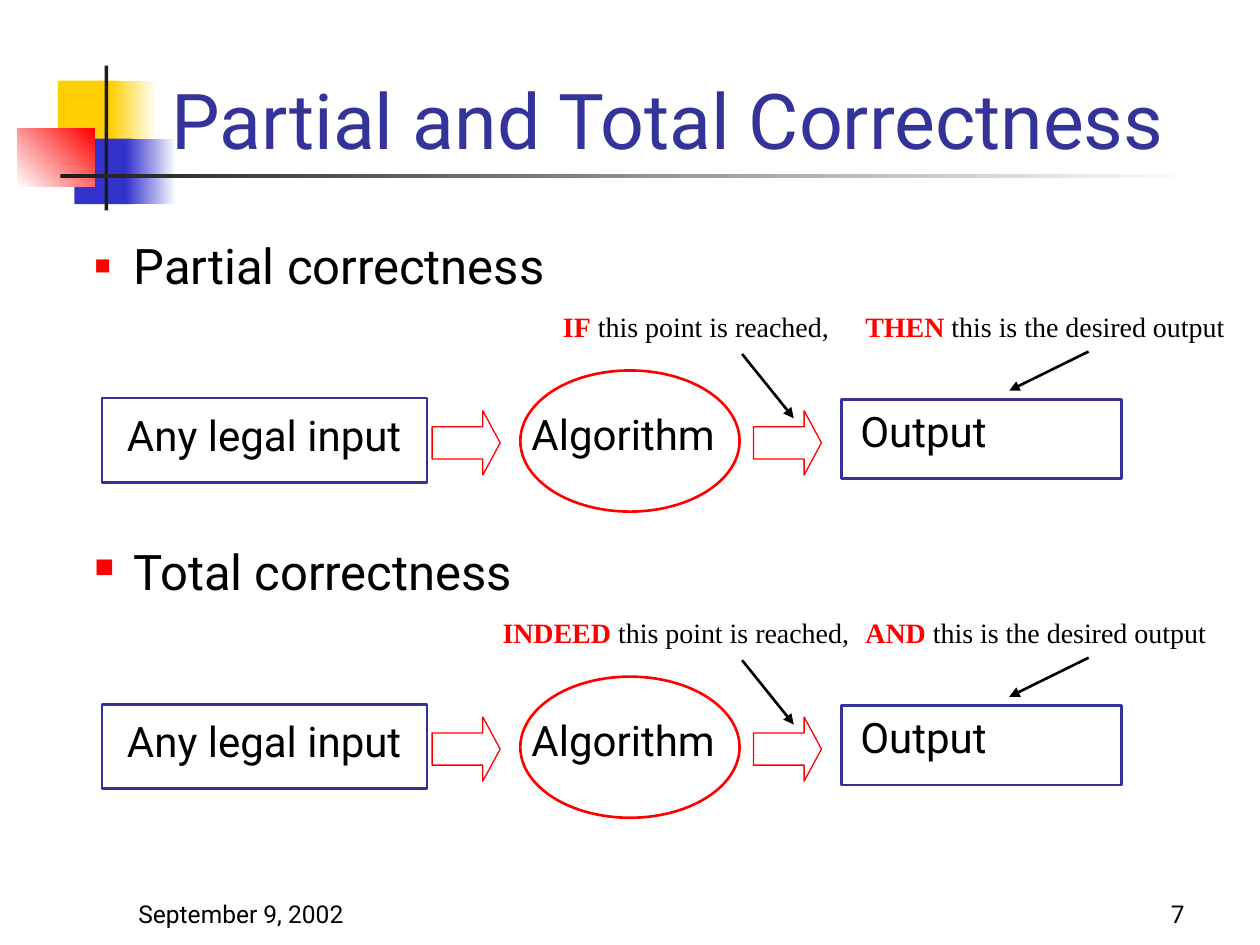
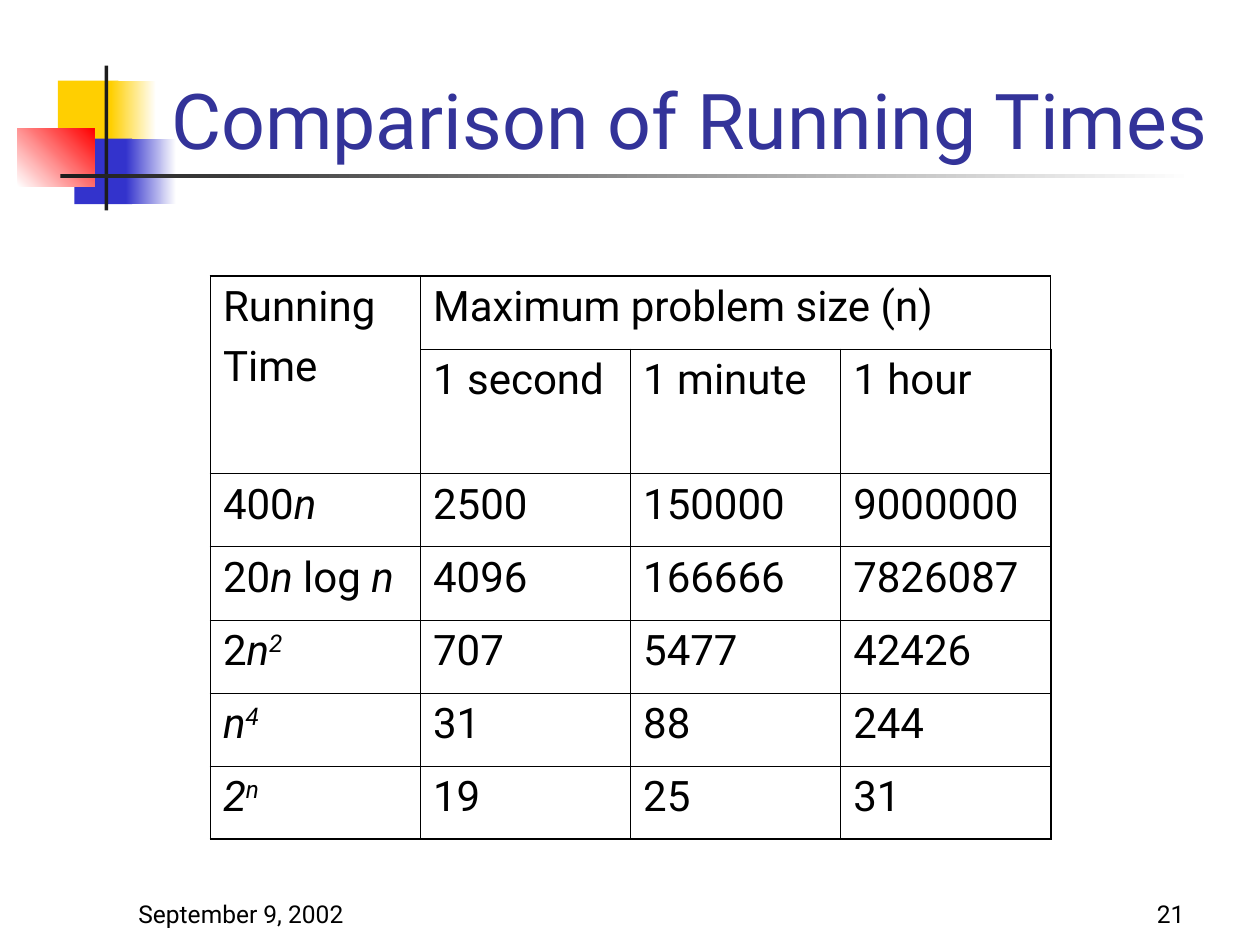
from pptx import Presentation
from pptx.dml.color import RGBColor
from pptx.enum.shapes import MSO_CONNECTOR, MSO_SHAPE
from pptx.enum.text import MSO_ANCHOR, MSO_AUTO_SIZE, PP_ALIGN
from pptx.oxml.xmlchemy import OxmlElement
from pptx.util import Inches, Pt

BLACK = RGBColor(0x00, 0x00, 0x00)
WHITE = RGBColor(0xFF, 0xFF, 0xFF)
CHARCOAL = RGBColor(0x1C, 0x1C, 0x1C)
NAVY = RGBColor(0x33, 0x33, 0x99)
BLUE = RGBColor(0x33, 0x33, 0xCC)
YELLOW = RGBColor(0xFF, 0xCF, 0x01)
RED = RGBColor(0xFF, 0x00, 0x00)

SANS = "Roboto"
SERIF = "Times New Roman"
TITLE_LAYOUT, BODY_LAYOUT = 5, 1
BLOCK_GAP = 2.43

CORNER_ART = [
    ((0.46, 0.64, 0.48, 0.52), (YELLOW,), 0),
    ((0.88, 0.64, 0.36, 0.52), (YELLOW, WHITE), 0),
    ((0.59, 1.1, 0.46, 0.52), (BLUE,), 0),
    ((1, 1.1, 0.4, 0.52), (BLUE, WHITE), 0),
    ((0.14, 1.02, 0.61, 0.46), (WHITE, RED), 45),
    ((0.83, 0.52, 0.03, 1.15), (CHARCOAL,), 0),
    ((0.48, 1.38, 9, 0.03), (CHARCOAL, WHITE), 0),
]

ITALIC = {"italic": True}
RAISED = {"italic": True, "raised": True}
RUNNING_TIMES = [
    ([("400", {}), ("n", ITALIC)], "2500", "150000", "9000000"),
    ([("20", {}), ("n", ITALIC), (" log ", {}), ("n", ITALIC)],
     "4096", "166666", "7826087"),
    ([("2", {}), ("n", ITALIC), ("2", RAISED)], "707", "5477", "42426"),
    ([("n", ITALIC), ("4", RAISED)], "31", "88", "244"),
    ([("2", ITALIC), ("n", RAISED)], "19", "25", "31"),
]


def make_element(parent, tag, **attributes):
    element = OxmlElement(tag)
    for name, value in attributes.items():
        element.set(name, str(value))
    parent.append(element)
    return element


class SlideBuilder:
    """Holds the deck style and the current page, and adds elements to it."""

    def __init__(self):
        self.deck = Presentation()
        self.deck.slide_width, self.deck.slide_height = Inches(10), Inches(7.5)
        self.page = None

    def start_page(self, layout, title, number):
        self.page = self.deck.slides.add_slide(self.deck.slide_layouts[layout])
        for place, colors, angle in CORNER_ART:
            self.panel(place, colors, angle)
        self.footer(1, "September 9, 2002", PP_ALIGN.LEFT)
        self.footer(7.42, str(number), PP_ALIGN.RIGHT)
        box = self.place(self.page.shapes.title, (1.26, 0.11, 8.52, 1.25))
        frame = self.frame(box, anchor=MSO_ANCHOR.BOTTOM)
        frame.paragraphs[0].alignment = PP_ALIGN.LEFT
        self.span(frame.paragraphs[0], title, 44, NAVY)

    def place(self, placeholder, place):
        (placeholder.left, placeholder.top,
         placeholder.width, placeholder.height) = map(Inches, place)
        self.page.shapes._spTree.append(placeholder._element)
        return placeholder

    def frame(self, box, wrap=True, anchor=MSO_ANCHOR.TOP):
        frame = box.text_frame
        frame.word_wrap = wrap
        frame.auto_size = MSO_AUTO_SIZE.NONE
        frame.vertical_anchor = anchor
        return frame

    def span(self, para, text, size=24, color=BLACK, face=SANS,
             bold=False, italic=False, raised=False):
        span = para.add_run()
        span.text = text
        font = span.font
        font.size, font.name, font.color.rgb = Pt(size), face, color
        font.bold, font.italic = bold, italic
        if raised:
            font._element.set("baseline", "30000")

    def text(self, place, pieces, wrap=True, anchor=MSO_ANCHOR.TOP,
             align=PP_ALIGN.LEFT):
        box = self.page.shapes.add_textbox(*map(Inches, place))
        para = self.frame(box, wrap, anchor).paragraphs[0]
        para.alignment = align
        for text, style in pieces:
            self.span(para, text, **style)

    def footer(self, left, text, align):
        self.text((left, 6.92, 2.08, 0.5), [(text, {"size": 14})],
                  anchor=MSO_ANCHOR.BOTTOM, align=align)

    def panel(self, place, colors, angle):
        panel = self.page.shapes.add_shape(MSO_SHAPE.RECTANGLE, *map(Inches, place))
        panel.shadow.inherit = False
        panel.line.fill.background()
        if len(colors) == 1:
            panel.fill.solid()
            panel.fill.fore_color.rgb = colors[0]
            return
        panel.fill.gradient()
        panel.fill.gradient_angle = angle
        for stop, color in zip(panel.fill.gradient_stops, colors):
            stop.color.rgb = color

    def outline(self, kind, place, color, width=1.5):
        shape = self.page.shapes.add_shape(kind, *map(Inches, place))
        shape.shadow.inherit = False
        shape.fill.background()
        shape.line.color.rgb, shape.line.width = color, Pt(width)
        return shape

    def block_arrow(self, left, top):
        arrow = self.outline(MSO_SHAPE.RIGHT_ARROW, (left, top, 0.54, 0.51), RED, 0.75)
        arrow.adjustments[1] = 0.27

    def pointer(self, start, end):
        line = self.page.shapes.add_connector(
            MSO_CONNECTOR.STRAIGHT, *map(Inches, start + end))
        line.line.color.rgb, line.line.width = BLACK, Pt(1.5)
        make_element(line.line._get_or_add_ln(), "a:tailEnd", type="triangle")
        make_element(line._element.spPr, "a:effectLst")

    def bullet(self, box, text):
        para = self.frame(box).paragraphs[0]
        para.level, para.space_before = 1, Pt(7)
        self.span(para, text, 28)
        properties = para._p.get_or_add_pPr()
        properties.set("marL", str(Inches(0.81)))
        properties.set("indent", str(Inches(-0.31)))
        color = make_element(properties, "a:buClr")
        make_element(color, "a:srgbClr", val=RED)
        make_element(properties, "a:buSzPct", val=55000)
        make_element(properties, "a:buChar", char="■")

    def note(self, place, keyword, rest):
        self.text(place, [
            (keyword, {"size": 16, "color": RED, "face": SERIF, "bold": True}),
            (rest, {"size": 16, "face": SERIF})], wrap=False)

    def flow(self, top):
        self.outline(MSO_SHAPE.RECTANGLE, (0.81, top + 0.75, 2.58, 0.67), NAVY)
        self.text((0.91, top + 0.79, 2.43, 0.9), [("Any legal input", {})])
        self.block_arrow(3.43, top + 0.85)
        self.outline(MSO_SHAPE.OVAL, (4.13, top + 0.53, 1.74, 1.12), RED)
        self.text((4.12, top + 0.78, 1.76, 0.5), [("Algorithm", {})], wrap=False)
        self.block_arrow(5.98, top + 0.85)
        self.outline(MSO_SHAPE.RECTANGLE, (6.68, top + 0.76, 2.22, 0.63), NAVY)
        self.text((6.73, top + 0.76, 2.13, 0.5), [("Output", {})])
        self.pointer((5.89, top + 0.4), (6.3, top + 0.91))
        self.pointer((8.64, top + 0.38), (8.01, top + 0.69))

    def cell(self, cell, paragraphs):
        cell.margin_left = cell.margin_right = Inches(0.1)
        cell.margin_top = cell.margin_bottom = Inches(0.05)
        frame = cell.text_frame
        for index, pieces in enumerate(paragraphs):
            para = frame.add_paragraph() if index else frame.paragraphs[0]
            para.space_before = Pt(6)
            for text, style in pieces:
                self.span(para, text, **style)

    def borders(self, cell, outer):
        properties = cell._tc.get_or_add_tcPr()
        for side in "LRTB":
            width = Pt(1.08) if side in outer else Pt(0.45)
            line = make_element(properties, f"a:ln{side}", w=width)
            fill = make_element(line, "a:solidFill")
            make_element(fill, "a:srgbClr", val=BLACK)
        cell.fill.background()

    def table(self, place, row_heights, columns):
        holder = self.page.shapes.add_table(
            len(row_heights), columns, *map(Inches, place))
        table = holder.table
        table.first_row = table.horz_banding = False
        for row, height in zip(table.rows, row_heights):
            row.height = Inches(height)
        last_row, last_column = len(row_heights) - 1, columns - 1
        for row in range(len(row_heights)):
            for column in range(columns):
                edges = {"L": column == 0, "R": column == last_column,
                         "T": row == 0, "B": row == last_row}
                outer = [side for side, at_edge in edges.items() if at_edge]
                self.borders(table.cell(row, column), outer)
        return table


def build_correctness(builder):
    builder.start_page(BODY_LAYOUT, "Partial and Total Correctness", 7)
    place = (0.15, 1.82, 9.14, 0.72)
    body = builder.place(builder.page.placeholders[1], place)
    builder.bullet(body, "Partial correctness")
    left, top, width, height = place
    second = builder.page.shapes.add_textbox(
        *map(Inches, (left, top + BLOCK_GAP, width, height)))
    builder.bullet(second, "Total correctness")
    blocks = [("IF", 4.37, 2.36, "THEN", 3.1), ("INDEED", 3.89, 3, "AND", 2.95)]
    for index, (reach, left, width, result, result_width) in enumerate(blocks):
        top = 2.41 + index * BLOCK_GAP
        builder.flow(top)
        builder.note((left, top, width, 0.37), reach, " this point is reached, ")
        builder.note((6.77, top, result_width, 0.37), result,
                     " this is the desired output ")


def build_running_times(builder):
    builder.start_page(TITLE_LAYOUT, "Comparison of Running Times", 21)
    table = builder.table((1.67, 2.19, 6.67, 4.44), [0.58, 0.99] + [0.58] * 5, 4)
    table.cell(0, 0).merge(table.cell(1, 0))
    table.cell(0, 1).merge(table.cell(0, 3))
    builder.cell(table.cell(0, 0), [[("Running", {})], [("Time", {})]])
    builder.cell(table.cell(0, 1), [[("Maximum problem size (n)", {})]])
    for column, period in enumerate(("1 second", "1 minute", "1 hour"), 1):
        builder.cell(table.cell(1, column), [[(period, {})]])
    for row, (formula, *sizes) in enumerate(RUNNING_TIMES, 2):
        builder.cell(table.cell(row, 0), [formula])
        for column, size in enumerate(sizes, 1):
            builder.cell(table.cell(row, column), [[(size, {})]])


def main():
    builder = SlideBuilder()
    build_correctness(builder)
    build_running_times(builder)
    builder.deck.save("out.pptx")


if __name__ == "__main__":
    main()
